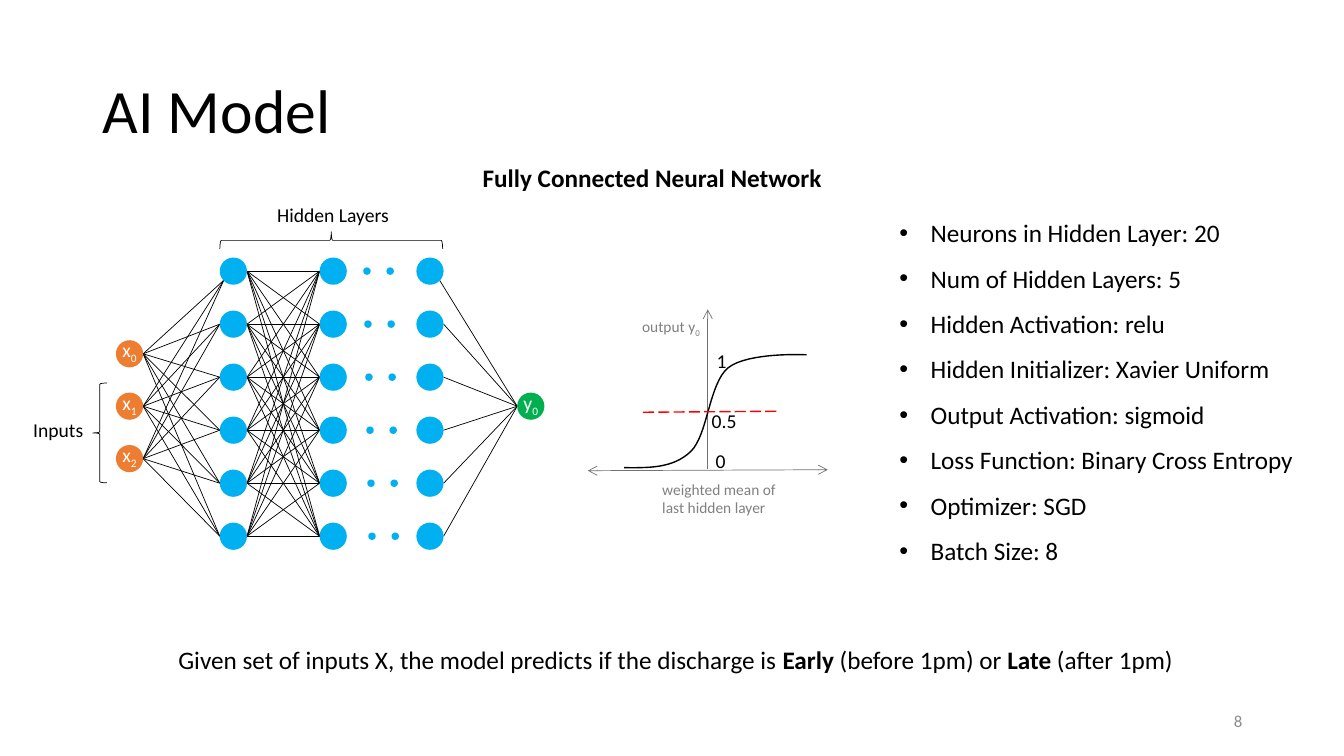
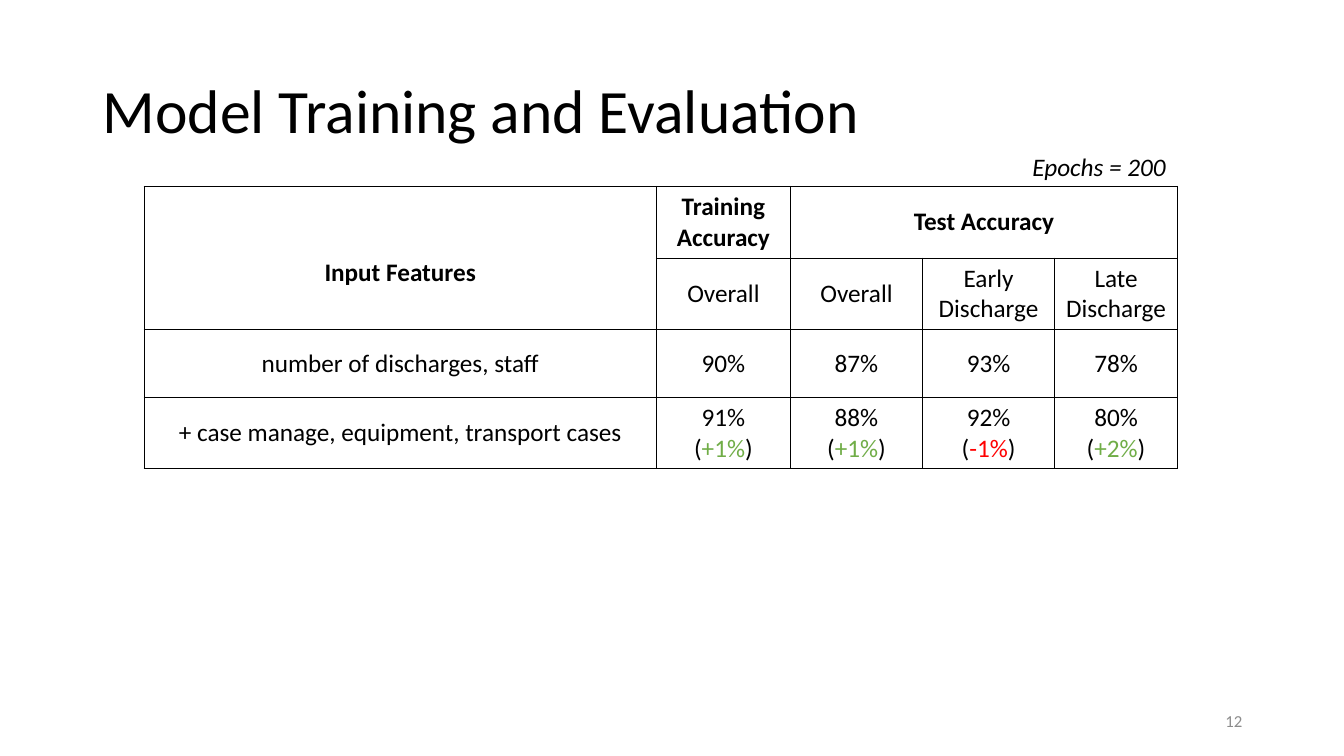
from lxml import etree
from pptx import Presentation
from pptx.dml.color import RGBColor
from pptx.enum.dml import MSO_LINE
from pptx.enum.shapes import MSO_CONNECTOR, MSO_SHAPE
from pptx.enum.text import MSO_ANCHOR as ANCHOR, MSO_AUTO_SIZE as FIT, PP_ALIGN as ALIGN
from pptx.oxml.ns import qn
from pptx.util import Inches, Pt

COLORS = {
    "text": "000000", "white": "FFFFFF", "muted": "808080", "number": "8C8C8C",
    "axis": "767171", "input": "ED7D31", "hidden": "00B0F0", "output": "00B050",
    "gain": "70AD47", "loss": "FF0000",
}
FONT = "Calibri"
BOLD = {"bold": True}
SUB = {"sub": True}

SETTINGS = [
    "Neurons in Hidden Layer: 20",
    "Num of Hidden Layers: 5",
    "Hidden Activation: relu",
    "Hidden Initializer: Xavier Uniform",
    "Output Activation: sigmoid",
    "Loss Function: Binary Cross Entropy",
    "Optimizer: SGD",
    "Batch Size: 8",
]
SUMMARY = [
    "Given set of inputs X, the model predicts if the discharge is ",
    ("Early", BOLD), " (before 1pm) or ", ("Late", BOLD), " (after 1pm)",
]
DIAGRAM_LABELS = [
    ("Inputs", (0.23, 4.1, 0.71, 0.34), 14, "text"),
    ("Hidden Layers", (2.65, 1.96, 1.32, 0.34), 14, "text"),
    ("0", (7, 4.4, 0.3, 0.34), 14, "text"),
    ("1", (7.01, 3.41, 0.3, 0.34), 14, "text"),
    ("0.5", (6.96, 4.01, 0.45, 0.34), 14, "text"),
    (["output y", ("0", SUB)], (6.27, 3.1, 0.78, 0.29), 11, "muted"),
]
AXIS_CAPTION = ["weighted mean of", "last hidden layer"]
SIGMOID = [
    [(6.19, 4.64), (6.43, 4.64), (6.67, 4.65), (6.85, 4.48)],
    [(6.85, 4.48), (7.02, 4.32), (7.03, 3.81), (7.22, 3.65)],
    [(7.22, 3.65), (7.42, 3.49), (8, 3.52), (8, 3.52)],
]

COLUMN_WIDTHS = [5.08, 1.33, 1.31, 1.31, 1.22]
ROW_HEIGHTS = [0.71, 0.71, 0.67, 0.71]
HEADINGS = [
    ["Input Features", "Training Accuracy", "Test Accuracy", None, None],
    [None, "Overall", "Overall", "Early Discharge", "Late Discharge"],
]
BASELINE = ["number of discharges, staff", "90%", "87%", "93%", "78%"]
EXTENDED = "+ case manage, equipment, transport cases"
CHANGES = [("91%", "+1%"), ("88%", "+1%"), ("92%", "-1%"), ("80%", "+2%")]
MERGES = [((0, 0), (1, 0)), ((0, 2), (0, 4))]

NODE = 0.27
DOT = 0.06
INPUT_X, HIDDEN_XS, LAST_X, OUTPUT_X = 1.15, [2.18, 3.17], 4.13, 5.13
INPUT_YS = [3.51 + 0.52 * i for i in range(3)]
HIDDEN_YS = [2.69 + (5.32 - 2.69) / 5 * i for i in range(6)]
OUTPUT_Y = 4.03


def rgb(name):
    return RGBColor.from_string(COLORS[name])


def write(frame, paragraphs, size=18, color="text", bold=False, italic=False,
          align=ALIGN.LEFT, anchor=ANCHOR.TOP, wrap=True, fit=FIT.NONE,
          spacing=None, indent=None):
    frame.word_wrap = wrap
    frame.auto_size = fit
    frame.vertical_anchor = anchor
    for i, runs in enumerate(paragraphs):
        paragraph = frame.add_paragraph() if i else frame.paragraphs[0]
        paragraph.alignment = align
        paragraph.space_before = Pt(0)
        if spacing:
            paragraph.line_spacing = spacing
        if indent:
            properties = paragraph._p.get_or_add_pPr()
            properties.set("marL", str(Inches(indent)))
            properties.set("indent", str(-Inches(indent)))
        for part in [runs] if isinstance(runs, str) else runs:
            text, style = (part, {}) if isinstance(part, str) else part
            run = paragraph.add_run()
            run.text = text
            run.font.name = FONT
            run.font.size = Pt(size)
            run.font.bold = style.get("bold", bold)
            run.font.italic = italic
            run.font.color.rgb = rgb(style.get("color", color))
            if style.get("sub"):
                run._r.get_or_add_rPr().set("baseline", "-25000")


def add_label(slide, paragraphs, box, **style):
    label = slide.shapes.add_textbox(*map(Inches, box))
    write(label.text_frame, paragraphs, **style)


def place(placeholder, box):
    placeholder.left, placeholder.top, placeholder.width, placeholder.height = map(Inches, box)


def add_slide(deck, layout, title, number):
    slide = deck.slides.add_slide(deck.slide_layouts[layout])
    place(slide.shapes.title, (0.92, 0.4, 11.5, 1.45))
    write(slide.shapes.title.text_frame, [title], size=44, anchor=ANCHOR.MIDDLE, spacing=0.9)
    add_label(slide, [number], (9.42, 6.95, 3, 0.4), size=12, color="number",
              align=ALIGN.RIGHT, anchor=ANCHOR.MIDDLE)
    return slide


def add_line(slide, start, end, color="text", width=0.5, dash=None, ends=()):
    points = map(Inches, (*start, *end))
    line = slide.shapes.add_connector(MSO_CONNECTOR.STRAIGHT, *points)
    line.line.color.rgb = rgb(color)
    line.line.width = Pt(width)
    if dash:
        line.line.dash_style = dash
    for end_tag in ends:
        etree.SubElement(line.line._get_or_add_ln(), qn(end_tag), type="arrow")
    etree.SubElement(line._element.spPr, qn("a:effectLst"))


def add_circle(slide, x, center_y, color, size=NODE, outline=False, label=None):
    box = (x, center_y - size / 2, size, size)
    circle = slide.shapes.add_shape(MSO_SHAPE.OVAL, *map(Inches, box))
    circle.shadow.inherit = False
    circle.fill.solid()
    circle.fill.fore_color.rgb = rgb(color)
    if outline:
        circle.line.color.rgb = rgb(color)
        circle.line.width = Pt(1)
    else:
        circle.line.fill.background()
    if label:
        frame = circle.text_frame
        frame.margin_left = frame.margin_right = frame.margin_top = 0
        frame.margin_bottom = Inches(0.04)
        letter, index = label
        write(frame, [[letter, (index, SUB)]], size=14, color="white",
              align=ALIGN.CENTER, anchor=ANCHOR.MIDDLE, wrap=False)


def add_brace(slide, box, rotation=0):
    brace = slide.shapes.add_shape(MSO_SHAPE.LEFT_BRACE, *map(Inches, box))
    brace.rotation = rotation
    brace.shadow.inherit = False
    brace.fill.background()
    brace.line.color.rgb = rgb("text")
    brace.line.width = Pt(0.5)


def outer_ends(x, inward):
    corner = (x + 0.04 * inward, HIDDEN_YS[0] + 0.09)
    return [corner] + [(x, y) for y in HIDDEN_YS[1:]]


def draw_network(slide):
    first, second = HIDDEN_XS
    layers = [
        ([(INPUT_X + NODE, y) for y in INPUT_YS], outer_ends(first, 1)),
        ([(first + NODE, y) for y in HIDDEN_YS], [(second, y) for y in HIDDEN_YS]),
        ([(OUTPUT_X, OUTPUT_Y)], outer_ends(LAST_X + NODE, -1)),
    ]
    for starts, ends in layers:
        for start in starts:
            for end in ends:
                add_line(slide, start, end)
    for i, y in enumerate(INPUT_YS):
        add_circle(slide, INPUT_X, y, "input", label=("x", str(i)))
    for row, y in enumerate(HIDDEN_YS):
        for x in (*HIDDEN_XS, LAST_X):
            add_circle(slide, x, y, "hidden")
        for x in (3.61, 3.84):
            add_circle(slide, x + 0.01 * row, y, "hidden", size=DOT, outline=True)
    add_circle(slide, OUTPUT_X, OUTPUT_Y, "output", label=("y", "0"))
    add_brace(slide, (0.92, 3.8, 0.14, 0.99))
    add_brace(slide, (3.2, 1.28, 0.17, 2.21), rotation=90)


def bezier(points, t):
    weights = ((1 - t) ** 3, 3 * t * (1 - t) ** 2, 3 * t * t * (1 - t), t ** 3)
    return tuple(Inches(sum(w * p[axis] for w, p in zip(weights, points))) for axis in (0, 1))


def draw_sigmoid(slide):
    add_line(slide, (7.02, 3.07), (7.02, 4.65), "axis", ends=["a:headEnd"])
    add_line(slide, (8.21, 4.66), (5.83, 4.67), "axis", ends=["a:headEnd", "a:tailEnd"])
    steps = 16
    points = [bezier(segment, i / steps) for segment in SIGMOID for i in range(1, steps + 1)]
    builder = slide.shapes.build_freeform(*bezier(SIGMOID[0], 0))
    builder.add_line_segments(points, close=False)
    curve = builder.convert_to_shape()
    curve.shadow.inherit = False
    curve.fill.background()
    curve.line.color.rgb = rgb("text")
    curve.line.width = Pt(1)
    add_line(slide, (7.7, 4.08), (6.36, 4.09), "loss", width=1, dash=MSO_LINE.LONG_DASH)


def build_model(deck):
    slide = add_slide(deck, 1, "AI Model", "8")
    draw_sigmoid(slide)
    draw_network(slide)
    for text, box, size, color in DIAGRAM_LABELS:
        add_label(slide, [text], box, size=size, color=color, wrap=False, fit=FIT.SHAPE_TO_FIT_TEXT)
    add_label(slide, AXIS_CAPTION, (6.47, 4.71, 1.37, 0.47), size=11, color="muted",
              wrap=False, fit=FIT.SHAPE_TO_FIT_TEXT)
    settings = slide.placeholders[1]
    place(settings, (8.82, 1.96, 4.15, 3.69))
    write(settings.text_frame, SETTINGS, spacing=1.5, indent=0.31, wrap=False,
          fit=FIT.SHAPE_TO_FIT_TEXT)
    add_label(slide, ["Fully Connected Neural Network"], (4.57, 1.56, 3.8, 0.4),
              bold=True, align=ALIGN.CENTER)
    add_label(slide, [SUMMARY], (1.48, 6.34, 10.44, 0.4), align=ALIGN.CENTER)


def border_cell(cell):
    properties = cell._tc.get_or_add_tcPr()
    for i, side in enumerate(("a:lnL", "a:lnR", "a:lnT", "a:lnB")):
        border = etree.Element(qn(side), w=str(Pt(1)))
        fill = etree.SubElement(border, qn("a:solidFill"))
        etree.SubElement(fill, qn("a:srgbClr"), val=COLORS["text"])
        properties.insert(i, border)


def build_evaluation(deck):
    slide = add_slide(deck, 5, "Model Training and Evaluation", "12")
    changes = [
        [score, ["(", (change, {"color": "gain" if change[0] == "+" else "loss"}), ")"]]
        for score, change in CHANGES
    ]
    rows = [[[text] if text else None for text in row] for row in (*HEADINGS, BASELINE)]
    rows.append([[EXTENDED], *changes])
    box = (1.43, 1.85, sum(COLUMN_WIDTHS), sum(ROW_HEIGHTS))
    accuracy = slide.shapes.add_table(len(rows), len(COLUMN_WIDTHS), *map(Inches, box)).table
    accuracy.first_row = accuracy.horz_banding = False
    for column, width in zip(accuracy.columns, COLUMN_WIDTHS):
        column.width = Inches(width)
    for row, height in zip(accuracy.rows, ROW_HEIGHTS):
        row.height = Inches(height)
    for start, end in MERGES:
        accuracy.cell(*start).merge(accuracy.cell(*end))
    for r, row in enumerate(rows):
        for c, paragraphs in enumerate(row):
            cell = accuracy.cell(r, c)
            cell.fill.solid()
            cell.fill.fore_color.rgb = rgb("white")
            border_cell(cell)
            if paragraphs:
                write(cell.text_frame, paragraphs, bold=r == 0, align=ALIGN.CENTER)
                cell.vertical_anchor = ANCHOR.MIDDLE
    accuracy.cell(0, 0).margin_top = Inches(0.35)
    add_label(slide, ["Epochs = 200"], (10.14, 1.45, 1.56, 0.4), italic=True,
              wrap=False, fit=FIT.SHAPE_TO_FIT_TEXT)


def main():
    deck = Presentation()
    deck.slide_width, deck.slide_height = Inches(13.33), Inches(7.5)
    build_model(deck)
    build_evaluation(deck)
    deck.save("out.pptx")


if __name__ == "__main__":
    main()
